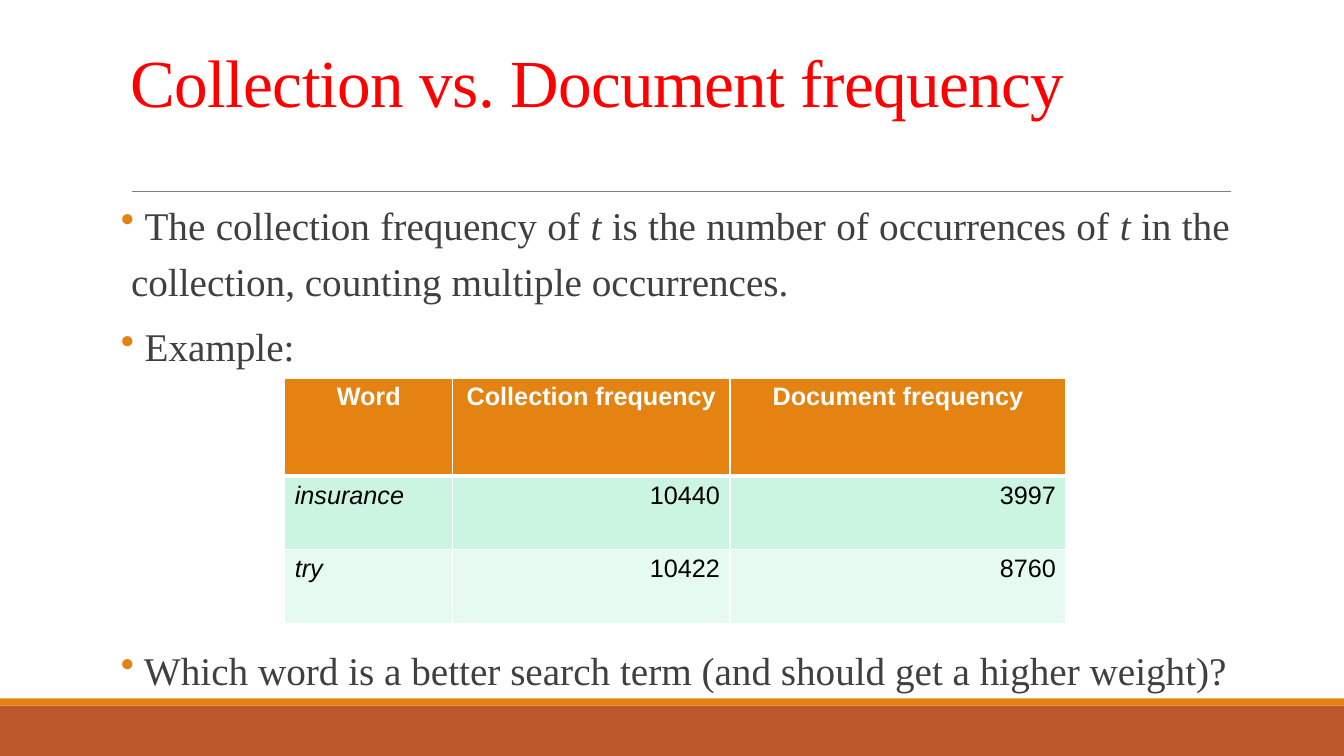
from dataclasses import dataclass

from lxml import etree
from pptx import Presentation
from pptx import util as u
from pptx.dml.color import RGBColor
from pptx.enum import shapes, text
from pptx.oxml import ns

COLS, ROWS = 160, 90  # grid of the slide
WIDE, HIGH = u.Inches(13.33), u.Inches(7.5)


@dataclass(frozen=True)
class Theme:
    serif: str = "Times New Roman"
    sans: str = "Arial"
    red: str = "FF0000"
    gray: str = "404040"
    rule: str = "808080"
    amber: str = "E48312"
    rust: str = "BD582C"
    white: str = "FFFFFF"
    black: str = "000000"
    mint: str = "CBF5E1"
    pale: str = "E7FAF1"
    head: int = 48
    body: int = 28
    cell: int = 18


@dataclass(frozen=True)
class Box:
    """A place in grid columns and rows."""
    left: float
    top: float
    width: float
    height: float

    def place(self) -> tuple:
        return (across(self.left), down(self.top),
                across(self.width), down(self.height))


@dataclass(frozen=True)
class Bar:
    box: Box
    fill: str


@dataclass(frozen=True)
class Block:
    """Bulleted lines; text between asterisks is italic."""
    box: Box
    lines: tuple


@dataclass(frozen=True)
class Row:
    height: float
    fill: str
    words: tuple


LOOK = Theme()
BARS = (Bar(Box(0, 84, COLS, 6), LOOK.rust),
        Bar(Box(0, 83.16, COLS, 0.84), LOOK.amber))
TITLE = Box(14.4, 3.72, 132, 11.28)
BLOCKS = (
    Block(Box(14.4, 22.2, 132, 22.8),
          (" The collection frequency of *t* is the number of occurrences of "
           "*t* in the collection, counting multiple occurrences.",
           " Example:")),
    Block(Box(14.4, 75.2, 132, 7.8),
          (" Which word is a better search term "
           "(and should get a higher weight)?",)),
)
GRID = Box(33.9, 45, 93, 29.2)
WIDTHS = (20, 33, 40)
TABLE = (
    Row(11.7, LOOK.amber,
        ("Word", "Collection frequency", "Document frequency")),
    Row(8.75, LOOK.mint, ("insurance", "10440", "3997")),
    Row(8.75, LOOK.pale, ("try", "10422", "8760")),
)


def across(cols: float) -> int:
    return round(WIDE * cols / COLS)


def down(rows: float) -> int:
    return round(HIGH * rows / ROWS)


def ink(code: str) -> RGBColor:
    return RGBColor.from_string(code)


def style(font, name: str, size: int, color: str) -> None:
    font.name, font.size = name, u.Pt(size)
    font.color.rgb = ink(color)


def draw_bar(slide, bar: Bar) -> None:
    shape = slide.shapes.add_shape(shapes.MSO_SHAPE.RECTANGLE,
                                   *bar.box.place())
    shape.shadow.inherit = False
    shape.fill.solid()
    shape.fill.fore_color.rgb = ink(bar.fill)
    shape.line.fill.background()


def draw_rule(slide) -> None:
    line = slide.shapes.add_connector(
        shapes.MSO_CONNECTOR.STRAIGHT,
        across(15.72), down(22.8), across(146.52), down(22.8))
    line.line.color.rgb = ink(LOOK.rule)
    line.line.width = u.Pt(0.5)
    etree.SubElement(line._element.spPr, ns.qn("a:effectLst"))


def draw_title(slide) -> None:
    frame = slide.shapes.add_textbox(*TITLE.place()).text_frame
    frame.word_wrap = True
    frame.vertical_anchor = text.MSO_ANCHOR.BOTTOM
    frame.text = "Collection vs. Document frequency"
    para = frame.paragraphs[0]
    para.line_spacing = 0.85
    run = para.runs[0]
    style(run.font, LOOK.serif, LOOK.head, LOOK.red)
    run.font._element.set("spc", "-50")


def add_dot(para) -> None:
    """Give the paragraph an amber bullet and a hanging indent."""
    props = para._p.get_or_add_pPr()
    props.set("marL", str(u.Inches(0.1)))
    props.set("indent", str(-u.Inches(0.1)))
    tint = etree.SubElement(props, ns.qn("a:buClr"))
    etree.SubElement(tint, ns.qn("a:srgbClr"), val=LOOK.amber)
    etree.SubElement(props, ns.qn("a:buChar"), char="•")


def draw_block(slide, block: Block) -> None:
    frame = slide.shapes.add_textbox(*block.box.place()).text_frame
    frame.word_wrap = True
    frame.margin_left = frame.margin_right = 0
    for i, line in enumerate(block.lines):
        para = frame.add_paragraph() if i else frame.paragraphs[0]
        add_dot(para)
        para.alignment = text.PP_ALIGN.JUSTIFY
        para.line_spacing = 1.2
        para.space_before = u.Pt(6 if i else 0)
        for j, part in enumerate(line.split("*")):
            run = para.add_run()
            run.text = part
            style(run.font, LOOK.serif, LOOK.body, LOOK.gray)
            run.font.italic = j % 2 == 1


def edge(cell, row: int) -> None:
    """Draw white borders, thick between the header and the data."""
    props = cell._tc.get_or_add_tcPr()
    thick = {(0, "B"), (1, "T")}
    for i, side in enumerate("LRTB"):
        width = u.Pt(3 if (row, side) in thick else 1)
        line = etree.Element(ns.qn(f"a:ln{side}"), w=str(width))
        fill = etree.SubElement(line, ns.qn("a:solidFill"))
        etree.SubElement(fill, ns.qn("a:srgbClr"), val=LOOK.white)
        props.insert(i, line)


def draw_table(slide) -> None:
    table = slide.shapes.add_table(len(TABLE), len(WIDTHS),
                                   *GRID.place()).table
    for col, width in zip(table.columns, WIDTHS):
        col.width = across(width)
    for r, row in enumerate(TABLE):
        table.rows[r].height = down(row.height)
        for c, word in enumerate(row.words):
            cell = table.cell(r, c)
            cell.fill.solid()
            cell.fill.fore_color.rgb = ink(row.fill)
            edge(cell, r)
            cell.text_frame.text = word
            para = cell.text_frame.paragraphs[0]
            head = r == 0
            para.alignment = (text.PP_ALIGN.CENTER if head else
                              text.PP_ALIGN.RIGHT if c else
                              text.PP_ALIGN.LEFT)
            font = para.runs[0].font
            style(font, LOOK.sans, LOOK.cell,
                  LOOK.white if head else LOOK.black)
            font.bold = head
            font.italic = not head and c == 0


def main() -> None:
    deck = Presentation()
    deck.slide_width, deck.slide_height = WIDE, HIGH
    slide = deck.slides.add_slide(deck.slide_layouts[6])
    for bar in BARS:
        draw_bar(slide, bar)
    draw_rule(slide)
    draw_title(slide)
    for block in BLOCKS:
        draw_block(slide, block)
    draw_table(slide)
    deck.save("out.pptx")


if __name__ == "__main__":
    main()
